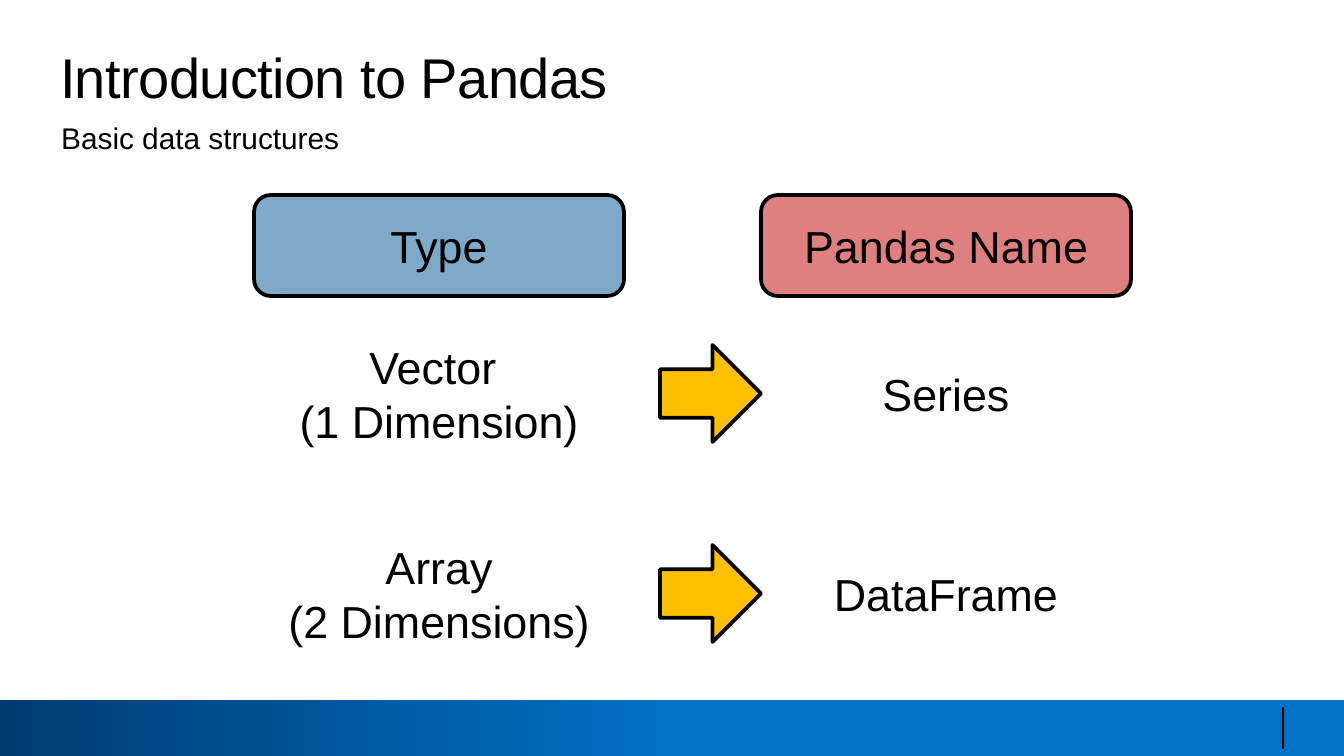
from lxml.etree import SubElement
from pptx import Presentation
from pptx.dml.color import RGBColor
from pptx.enum.shapes import MSO_CONNECTOR, MSO_SHAPE
from pptx.enum.text import MSO_ANCHOR, PP_ALIGN
from pptx.oxml.ns import qn
from pptx.util import Pt

EMU_PER_PX = 914400 / 134.4

BLACK = RGBColor(0x00, 0x00, 0x00)
NAVY = RGBColor(0x00, 0x3C, 0x71)
BLUE = RGBColor(0x00, 0x71, 0xC5)
TYPE_BLUE = RGBColor(0x00, 0x54, 0x93)
NAME_RED = RGBColor(0xC0, 0x00, 0x00)
AMBER = RGBColor(0xFF, 0xC0, 0x00)

TITLE_FONT = {"name": "Arial", "size": Pt(30)}
SUBTITLE_FONT = {"name": "Arial", "size": Pt(16)}
LABEL_FONT = {"name": "Arial", "size": Pt(24)}

# Column layout: (left, width)
TYPE_COLUMN = (254, 370)
HEADER_COLUMN = (761, 370)
NAME_COLUMN = (780, 332)
ARROW_COLUMN = (660, 101)

FIRST_ROW_TOP = 308
ROW_PITCH = 200
ROW_HEIGHT = 171
ARROW_HEIGHT = 97

ROWS = [
    (["Vector ", "(1 Dimension)"], ["Series"]),
    (["Array", "(2 Dimensions)"], ["DataFrame"]),
]


def px(*lengths):
    return [round(length * EMU_PER_PX) for length in lengths]


def write_lines(text_frame, lines, font_format, alignment):
    text_frame.word_wrap = True
    for index, line in enumerate(lines):
        paragraph = text_frame.paragraphs[0] if index == 0 else text_frame.add_paragraph()
        paragraph.alignment = alignment
        run = paragraph.add_run()
        run.text = line
        for attribute, value in font_format.items():
            setattr(run.font, attribute, value)
        run.font.color.rgb = BLACK


def add_text(slide, text, box, font_format, margins=None):
    text_box = slide.shapes.add_textbox(*px(*box))
    text_frame = text_box.text_frame
    for attribute, value in (margins or {}).items():
        setattr(text_frame, attribute, value)
    write_lines(text_frame, [text], font_format, PP_ALIGN.LEFT)
    return text_frame.paragraphs[0]


def add_block(slide, kind, box, color=None, lines=(), opacity=100):
    """Add an outlined block, or an invisible one when it has no color."""
    shape = slide.shapes.add_shape(kind, *px(*box))
    shape.shadow.inherit = False
    if color is None:
        shape.fill.background()
        shape.line.fill.background()
    else:
        shape.fill.solid()
        shape.fill.fore_color.rgb = color
        shape.line.color.rgb = BLACK
        shape.line.width = Pt(2)
    if opacity < 100:
        fill_color = shape._element.spPr.find(qn("a:solidFill"))[0]
        SubElement(fill_color, qn("a:alpha"), val=str(opacity * 1000))
    shape.text_frame.vertical_anchor = MSO_ANCHOR.MIDDLE
    write_lines(shape.text_frame, lines, LABEL_FONT, PP_ALIGN.CENTER)


def add_footer(slide):
    bar = slide.shapes.add_shape(MSO_SHAPE.RECTANGLE, *px(0, 700, 1344, 56))
    bar.shadow.inherit = False
    bar.line.fill.background()
    bar.fill.gradient()
    bar.fill.gradient_angle = 0
    for stop, (position, color) in zip(bar.fill.gradient_stops, [(0, NAVY), (0.5, BLUE)]):
        stop.position = position
        stop.color.rgb = color

    divider = slide.shapes.add_connector(MSO_CONNECTOR.STRAIGHT, *px(1283, 707, 1283, 749))
    divider.line.color.rgb = BLACK
    divider.line.width = Pt(0.75)
    SubElement(divider._element.spPr, qn("a:effectLst"))


def main():
    presentation = Presentation()
    presentation.slide_width, presentation.slide_height = px(1344, 756)
    slide = presentation.slides.add_slide(presentation.slide_layouts[6])

    add_footer(slide)

    # Title and subtitle
    sides = ("left", "top", "right", "bottom")
    no_margins = {f"margin_{side}": 0 for side in sides}
    title = add_text(slide, "Introduction to Pandas", (60, 43, 1240, 67), TITLE_FONT, no_margins)
    title.runs[0].font._element.set("spc", "-30")
    subtitle = add_text(slide, "Basic data structures", (48, 113, 1005, 50), SUBTITLE_FONT)
    subtitle.space_after = Pt(6)

    # Column headers
    headers = [("Type", TYPE_COLUMN, TYPE_BLUE), ("Pandas Name", HEADER_COLUMN, NAME_RED)]
    for label, (left, width), color in headers:
        box = (left, 195, width, 101)
        add_block(slide, MSO_SHAPE.ROUNDED_RECTANGLE, box, color, [label], opacity=50)

    # Type, arrow and pandas name in each row
    for index, (type_lines, name_lines) in enumerate(ROWS):
        top = FIRST_ROW_TOP + index * ROW_PITCH
        for (left, width), lines in ((TYPE_COLUMN, type_lines), (NAME_COLUMN, name_lines)):
            box = (left, top, width, ROW_HEIGHT)
            add_block(slide, MSO_SHAPE.ROUNDED_RECTANGLE, box, lines=lines)
        left, width = ARROW_COLUMN
        arrow_top = top + (ROW_HEIGHT - ARROW_HEIGHT) // 2
        add_block(slide, MSO_SHAPE.RIGHT_ARROW, (left, arrow_top, width, ARROW_HEIGHT), AMBER)

    presentation.save("out.pptx")


if __name__ == "__main__":
    main()
